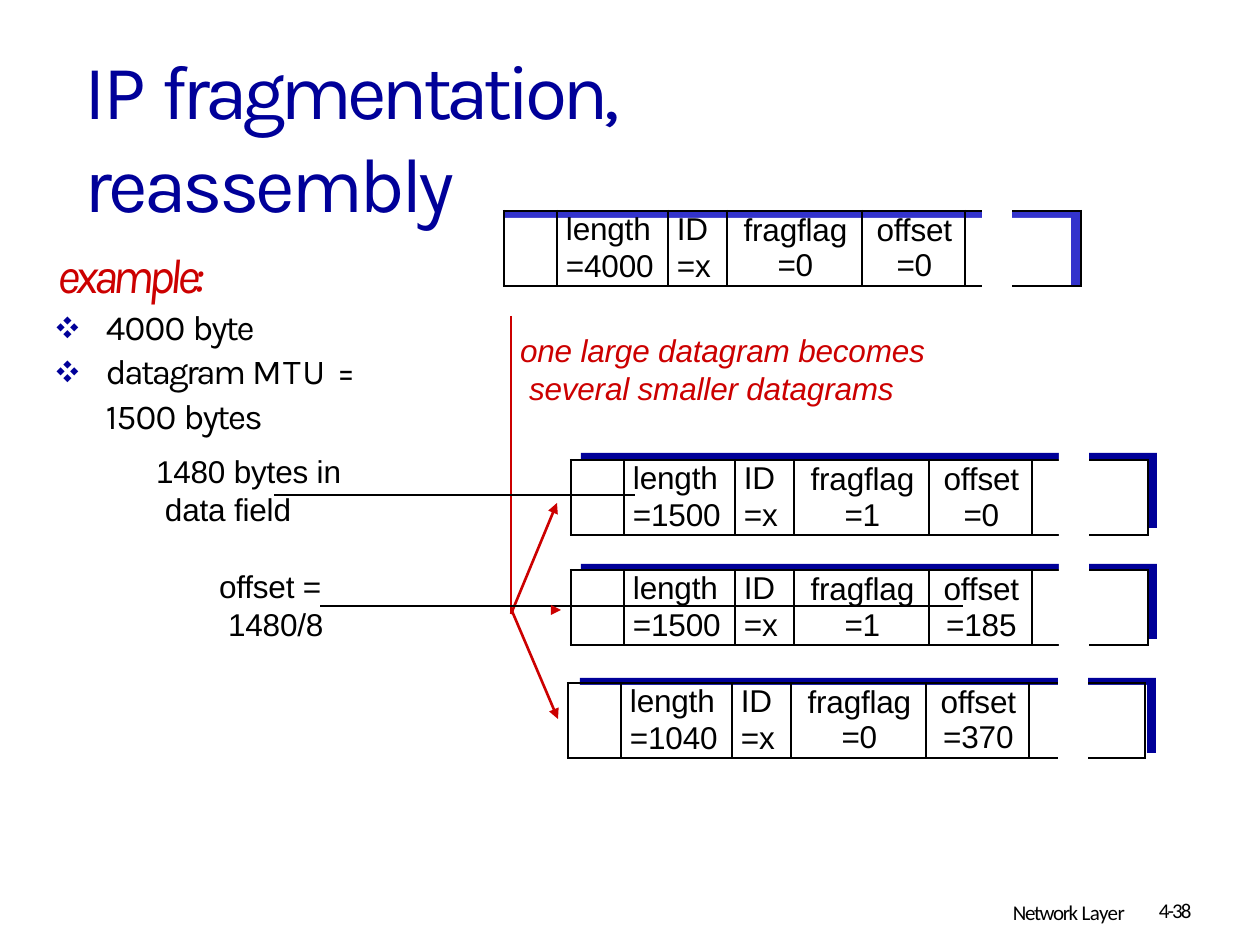
"""Build a slide on IP fragmentation with one large datagram and its three fragments."""
from lxml.etree import SubElement
from pptx import Presentation
from pptx.dml.color import RGBColor
from pptx.enum.shapes import MSO_CONNECTOR, MSO_SHAPE
from pptx.enum.text import PP_ALIGN
from pptx.oxml.ns import qn
from pptx.util import Emu, Pt

NAVY = RGBColor(0x00, 0x00, 0x99)
BLUE = RGBColor(0x33, 0x33, 0xCC)
RED = RGBColor(0xCC, 0x00, 0x00)
BLACK = RGBColor(0x00, 0x00, 0x00)
WHITE = RGBColor(0xFF, 0xFF, 0xFF)
PX = 914400 / 126


def px(length):
    return Emu(round(length * PX))


def write(para, spans, font, layout, left=1, first=0):
    for name, value in layout.items():
        setattr(para, name, value)
    properties = para._p.get_or_add_pPr()
    properties.set("marL", str(px(left)))
    properties.set("indent", str(px(first)))
    for text, spacing in spans:
        span = para.add_run()
        span.text = text
        for name, value in font.items():
            if name == "color":
                span.font.color.rgb = value
            else:
                setattr(span.font, name, value)
        span._r.get_or_add_rPr().set("spc", str(round(spacing * 100)))


deck = Presentation()
deck.slide_width, deck.slide_height = px(1260), px(945)
page = deck.slides.add_slide(deck.slide_layouts[6])

ARIAL = {"name": "Arial", "size": Pt(18), "color": BLACK}
ARIAL_RED = {**ARIAL, "color": RED, "italic": True}
KARLA = {"name": "Karla", "size": Pt(20), "color": BLACK}
TITLE = {**KARLA, "size": Pt(44), "color": NAVY}
EXAMPLE = {**KARLA, "size": Pt(28), "color": RED, "italic": True}
FOOTER = {"name": "Calibri", "size": Pt(12), "color": BLACK}

column_widths = [53, 111, 59, 135, 103, 116]
datagrams = [
    (504, 211, 504, 211, BLUE, 20, ["=4000", "=x", "=0", "=0"]),
    (581, 453, 571, 460, NAVY, 21, ["=1500", "=x", "=1", "=0"]),
    (581, 564, 571, 570, NAVY, 21, ["=1500", "=x", "=1", "=185"]),
    (580, 678, 568, 683, NAVY, 20, ["=1040", "=x", "=0", "=370"]),
]
for shade_x, shade_y, table_x, table_y, shade, pitch, values in datagrams:
    backing = [(shade_x, shade_y, 576, 75, shade), (shade_x - 9, shade_y + 7, 576, 75, WHITE)]
    cover = [(shade_x + 478, shade_y - 2, 30, 85, WHITE)]
    for layer in (backing, cover):
        if layer is cover:
            frame = page.shapes.add_table(1, 6, px(table_x), px(table_y), px(577), px(75))
            table = frame.table
            table.first_row = table.horz_banding = False
            for column, width in zip(table.columns, column_widths):
                column.width = px(width)
            for cell in table.iter_cells():
                for side in ("left", "right", "top", "bottom"):
                    setattr(cell, f"margin_{side}", 0)
                    border = SubElement(cell._tc.get_or_add_tcPr(), qn(f"a:ln{side[0].upper()}"), w=str(Pt(1.5)))
                    SubElement(SubElement(border, qn("a:solidFill")), qn("a:srgbClr"), val=str(BLACK))
                cell.fill.background()
            for index, (label, value) in enumerate(zip(["length", "ID", "fragflag", "offset"], values)):
                centred = index > 1
                text_frame = table.cell(0, index + 1).text_frame
                pitches = (21, pitch) if centred else (20.6, 21.1)
                for row, (text, line) in enumerate(zip((label, value), pitches)):
                    para = text_frame.add_paragraph() if row else text_frame.paragraphs[0]
                    layout = {"line_spacing": Pt(line),
                              "alignment": PP_ALIGN.CENTER if centred else PP_ALIGN.LEFT}
                    write(para, [(text, -0.1)], ARIAL, layout, left=2 if centred else 9)
        for x, y, width, height, colour in layer:
            block = page.shapes.add_shape(MSO_SHAPE.RECTANGLE, px(x), px(y), px(width), px(height))
            block.shadow.inherit = False
            block.fill.solid()
            block.fill.fore_color.rgb = colour
            block.line.fill.background()

lines = [
    (511, 316, 511, 614, RED, 1.5, False),
    (511, 614, 557, 503, RED, 1.5, True),
    (512, 611, 558, 719, RED, 1.5, True),
    (274, 495, 635, 495, BLACK, 0.75, False),
    (963, 606, 320, 606, BLACK, 0.75, False),
]
for x1, y1, x2, y2, colour, weight, arrow in lines:
    line = page.shapes.add_connector(MSO_CONNECTOR.STRAIGHT, px(x1), px(y1), px(x2), px(y2))
    line.line.color.rgb = colour
    line.line.width = Pt(weight)
    properties = line._element.spPr
    if arrow:
        SubElement(properties.find(qn("a:ln")), qn("a:tailEnd"), type="triangle")
    SubElement(properties, qn("a:effectLst"))

outline = page.shapes.build_freeform(551, 605, scale=PX)
outline.add_line_segments([(551, 615), (561, 610)], close=True)
arrowhead = outline.convert_to_shape()
arrowhead.shadow.inherit = False
arrowhead.fill.solid()
arrowhead.fill.fore_color.rgb = RED
arrowhead.line.fill.background()

title = [("IP ", -1.7), ("fragmentation, ", -3), ("reassembly", -2.3)]
bullets = [
    [("4000 ", -0.5), ("byte", -1.2)],
    [("datagram ", -1.4), ("MTU ", 0.9), ("= ", 1.1), ("1500 ", -0.5), ("bytes", -1.1)],
]
texts = [
    (84, 42, 898, 96, [title], TITLE, 1, 0),
    (57, 244, 169, 62, [[("example:", -2.9)]], EXAMPLE, 1, 0),
    (57, 302, 330, 140, bullets, KARLA, 49, -49),
    (519, 330, 412, 79, [[("one large datagram becomes several smaller datagrams", -0.1)]], ARIAL_RED, 10, -9),
    (155, 451, 190, 79, [[("1480 bytes in data field", -0.1)]], ARIAL, 10, -9),
    (218, 566, 107, 79, [[("offset = 1480/8", -0.1)]], ARIAL, 10, -9),
    (1012, 899, 139, 31, [[("Network ", -0.8), ("Layer", -0.3)]], FOOTER, 1, 0),
    (1158, 897, 49, 31, [[("4-38", -1.1)]], FOOTER, 1, 0),
]
for x, y, width, height, paragraphs, font, left, first in texts:
    box = page.shapes.add_textbox(px(x), px(y), px(width), px(height))
    text_frame = box.text_frame
    text_frame.word_wrap = True
    for side in ("left", "right", "top", "bottom"):
        setattr(text_frame, f"margin_{side}", px(1) if side == "top" else 0)
    for index, spans in enumerate(paragraphs):
        para = text_frame.add_paragraph() if index else text_frame.paragraphs[0]
        layout = {"line_spacing": 1.06} if paragraphs is bullets else {"space_before": Pt(1)}
        write(para, spans, font, layout, left, first)
        if paragraphs is bullets:
            properties = para._p.get_or_add_pPr()
            SubElement(SubElement(properties, qn("a:buClr")), qn("a:srgbClr"), val=str(NAVY))
            SubElement(properties, qn("a:buSzPct"), val="65000")
            SubElement(properties, qn("a:buFont"), typeface="Noto Sans CJK KR")
            SubElement(properties, qn("a:buChar"), char="❖")

deck.save("out.pptx")
